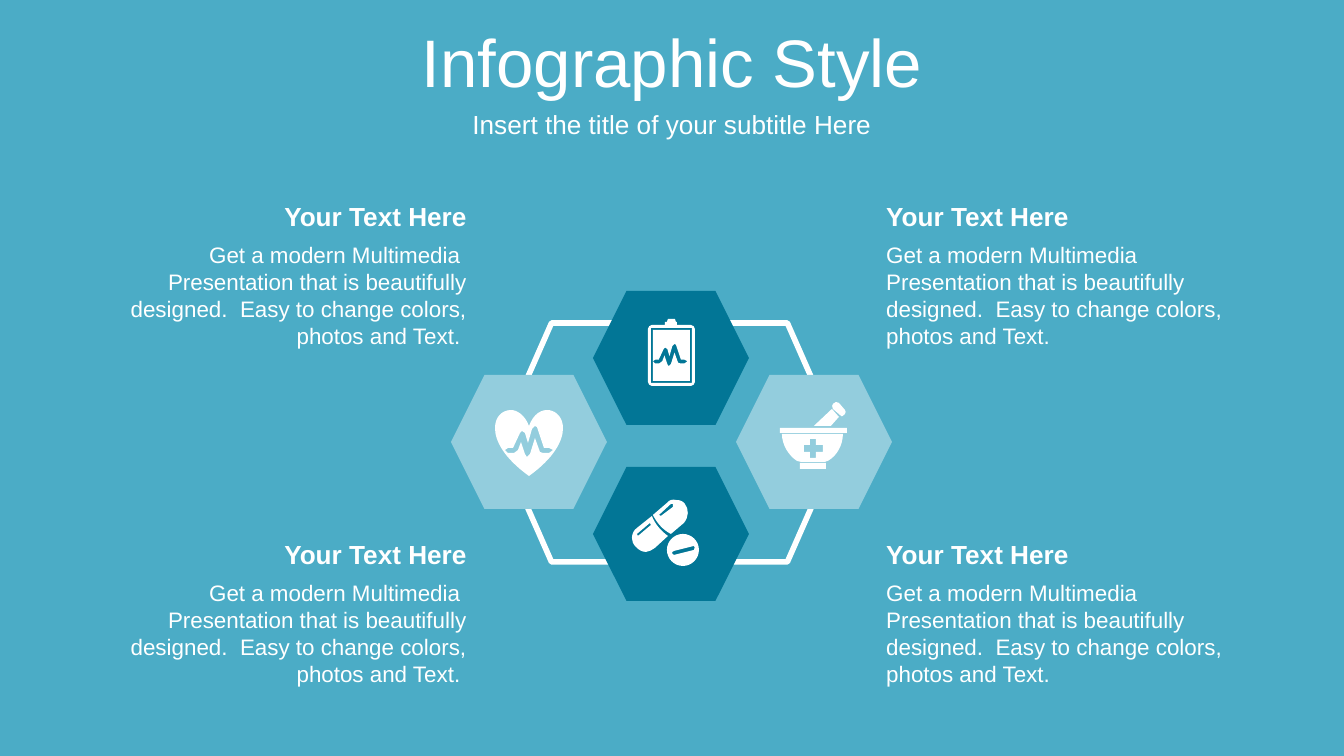
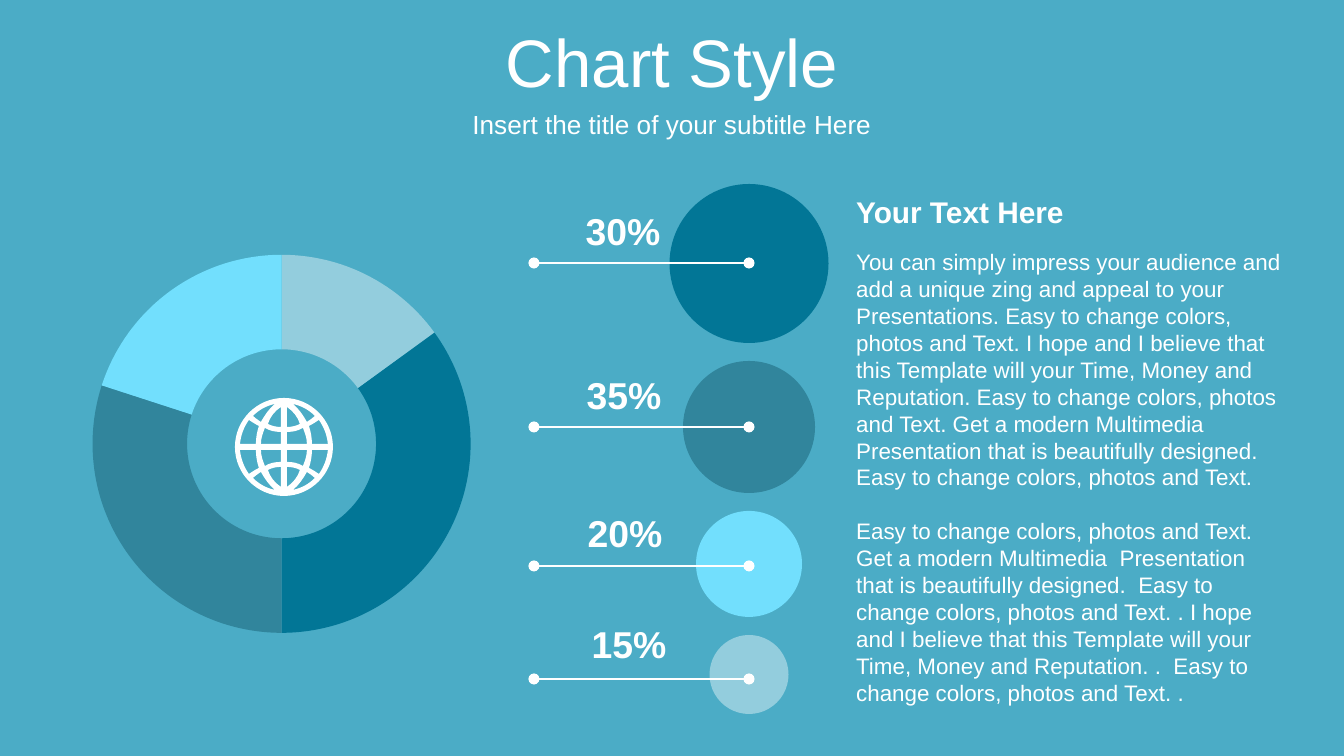
from dataclasses import dataclass

from lxml.etree import SubElement
from pptx import Presentation
from pptx.chart.data import CategoryChartData
from pptx.dml.color import RGBColor
from pptx.enum.chart import XL_CHART_TYPE
from pptx.enum.shapes import MSO_CONNECTOR, MSO_SHAPE
from pptx.enum.text import MSO_ANCHOR, MSO_AUTO_SIZE, PP_ALIGN
from pptx.oxml.ns import qn
from pptx.util import Pt

EMU_PER_PX = 9144000 / 1344


@dataclass(frozen=True)
class Theme:
    font: str = "Arial"
    background: RGBColor = RGBColor.from_string("4BACC6")
    white: RGBColor = RGBColor.from_string("FFFFFF")
    black: RGBColor = RGBColor.from_string("000000")
    deep: RGBColor = RGBColor.from_string("027696")
    teal: RGBColor = RGBColor.from_string("31859C")
    bright: RGBColor = RGBColor.from_string("72DFFD")
    pale: RGBColor = RGBColor.from_string("93CDDD")
    title: int = 36
    subtitle: int = 14
    label: int = 20
    chart: int = 18
    large_heading: int = 16
    heading: int = 14
    body: int = 12
    leading: float = 14.4


THEME = Theme()

SUBTITLE = "Insert the title of your subtitle Here"
HEADING = "Your Text Here"
FEATURE = ("Get a modern Multimedia  Presentation that is beautifully designed.  "
           "Easy to change colors, photos and Text.")
STORY = [
    "You can simply impress your audience and add a unique zing and appeal to your "
    "Presentations. Easy to change colors, photos and Text. I hope and I believe that "
    "this Template will your Time, Money and Reputation. Easy to change colors, photos "
    "and Text. " + FEATURE,
    "Easy to change colors, photos and Text. " + FEATURE + " . I hope and I believe that "
    "this Template will your Time, Money and Reputation. .  Easy to change colors, "
    "photos and Text. .",
]


def px(length):
    return round(length * EMU_PER_PX)


# A contour is a list of steps: two numbers make a line, six a cubic curve.
def rectangle(left, top, right, bottom):
    return [(left, top), (right, top), (right, bottom), (left, bottom)]


def moved(contour, x, y, scale_x=1, scale_y=1):
    """Scale a contour about its origin, then shift it to x, y."""
    return [tuple(value * (scale_y if i % 2 else scale_x) + (y if i % 2 else x)
                  for i, value in enumerate(step)) for step in contour]


def circle(x, y, radius):
    k = 0.55
    unit = [(1, 0), (1, k, k, 1, 0, 1), (-k, 1, -1, k, -1, 0),
            (-1, -k, -k, -1, 0, -1), (k, -1, 1, -k, 1, 0)]
    return moved(unit, x, y, radius, radius)


PULSE = [(30, 0), (27, 3), (23, 17), (20, 7), (17, 5), (15, 7), (8, 22), (3, 22),
         (0, 24), (3, 27), (9, 27), (13, 24), (16, 16), (20, 28), (22, 31), (25, 28),
         (30, 12), (35, 26), (38, 27), (44, 27), (48, 24), (44, 22), (39, 22), (32, 1)]

CLIPBOARD = [
    [(665, 325), (665, 322), (667, 322), (668, 319), (675, 319), (676, 322), (677, 322),
     (677, 325), (691, 325), (693, 325, 695, 327, 695, 329), (695, 382),
     (695, 384, 693, 386, 691, 386), (652, 386), (650, 386, 648, 384, 648, 382),
     (648, 329), (648, 327, 650, 325, 652, 325)],
    rectangle(651, 328, 692, 383),
    rectangle(653, 330, 690, 381),
    moved(PULSE, 653, 344, 0.72, 0.72),
]

HEART = [
    [(511, 410), (517, 410, 525, 415, 529, 426), (538, 401, 563, 408, 563, 428),
     (563, 441, 554, 458, 529, 476), (504, 458, 495, 441, 495, 428),
     (495, 417, 502, 410, 511, 410)],
    moved(PULSE, 505, 426),
]

MORTAR = [
    rectangle(800, 463, 826, 469),
    rectangle(780, 428, 847, 433),
    [(782, 434), (843, 434), (843, 445, 837, 456, 828, 461), (825, 462), (801, 462),
     (797, 461), (789, 456, 782, 445, 782, 434)],
    [(810, 439), (816, 439), (816, 445), (823, 445), (823, 452), (816, 452),
     (816, 458), (810, 458), (810, 452), (804, 452), (804, 445), (810, 445)],
    [(832, 409), (839, 417), (831, 426), (814, 426)],
    [(836, 402), (837, 402, 838, 403, 839, 403), (845, 410),
     (846, 411, 846, 413, 845, 414), (844, 415), (843, 417, 841, 417, 840, 415),
     (833, 409), (832, 407, 832, 405, 833, 404)],
]

PILLS = [
    circle(683, 550, 16),
    [(694, 546), (674, 551), (671, 552, 672, 555, 674, 555), (694, 550),
     (695, 549, 695, 546, 694, 546)],
    [(652, 516), (655, 524, 661, 531, 668, 536), (655, 548),
     (652, 550, 649, 552, 646, 552), (642, 552, 639, 550, 636, 547),
     (633, 544, 632, 541, 632, 538), (632, 534, 634, 530, 637, 528)],
    [(650, 523), (637, 534), (638, 536), (651, 525)],
    [(676, 500), (680, 500, 683, 501, 685, 504), (689, 509, 689, 517, 684, 523),
     (671, 534), (663, 530, 657, 523, 653, 515), (667, 503),
     (669, 500, 673, 499, 676, 500)],
    [(671, 504), (659, 515), (661, 516), (673, 507), (673, 504)],
]

GLOBE_QUARTER = [
    [(3, 3), (23, 3), (23, 9, 21, 14, 19, 19), (14, 16, 9, 15, 3, 15)],
    [(28, 3), (44, 3), (43, 12, 40, 20, 35, 27), (32, 25, 29, 23, 25, 21),
     (27, 15, 28, 9, 28, 3)],
    [(3, 40), (3, 20), (8, 20, 12, 21, 16, 23), (14, 30, 9, 36, 3, 40)],
    [(9, 43), (15, 38, 19, 32, 23, 25), (26, 27, 29, 29, 31, 31),
     (25, 37, 18, 41, 9, 43)],
]
GLOBE = [circle(284, 447, 49)] + [
    moved(cell, 284, 447, side, end)
    for side in (-1, 1) for end in (-1, 1) for cell in GLOBE_QUARTER]


def write(frame, paragraphs, size, bold=False, align=PP_ALIGN.LEFT, leading=None):
    frame.word_wrap = True
    for index, text in enumerate(paragraphs):
        para = frame.add_paragraph() if index else frame.paragraphs[0]
        para.alignment = align
        para.space_before = Pt(THEME.leading if index else 0)
        if leading:
            para.line_spacing = Pt(leading)
        span = para.add_run()
        span.text = text
        span.font.name = THEME.font
        span.font.size = Pt(size)
        span.font.bold = bold
        span.font.color.rgb = THEME.white


def add_text(page, place, paragraphs, size, anchor=MSO_ANCHOR.TOP, **style):
    box = page.shapes.add_textbox(*map(px, place))
    box.text_frame.auto_size = MSO_AUTO_SIZE.SHAPE_TO_FIT_TEXT
    box.text_frame.vertical_anchor = anchor
    write(box.text_frame, paragraphs, size, **style)


def fill_placeholder(box, place, text, size):
    box.left, box.top, box.width, box.height = map(px, place)
    box.text_frame.auto_size = MSO_AUTO_SIZE.NONE
    box.text_frame.vertical_anchor = MSO_ANCHOR.MIDDLE
    write(box.text_frame, [text], size, align=PP_ALIGN.CENTER)


def add_page(deck, title):
    page = deck.slides.add_slide(deck.slide_layouts[0])
    fill_placeholder(page.shapes.title, (0, 18, 1344, 85), title, THEME.title)
    fill_placeholder(page.placeholders[1], (0, 103, 1344, 42), SUBTITLE, THEME.subtitle)
    return page


def paint(shape, color):
    shape.shadow.inherit = False
    shape.fill.solid()
    shape.fill.fore_color.rgb = color
    shape.line.fill.background()


def add_solid(page, kind, place, color):
    paint(page.shapes.add_shape(kind, *map(px, place)), color)


def add_frame(page, place):
    frame = page.shapes.add_shape(MSO_SHAPE.HEXAGON, *map(px, place))
    frame.adjustments[0] = 0.22
    frame.shadow.inherit = False
    frame.fill.background()
    frame.line.color.rgb = THEME.white
    frame.line.width = Pt(3)


def bend_lines(shape, contours):
    """Turn each line that stands for a six-number step into a cubic curve."""
    steps = [step for contour in contours for step in contour]
    marks = list(shape._element.spPr.iter(qn("a:moveTo"), qn("a:lnTo")))
    for mark, step in zip(marks, steps):
        if len(step) == 6:
            curve = SubElement(mark.getparent(), qn("a:cubicBezTo"))
            for x, y in zip(step[::2], step[1::2]):
                SubElement(curve, qn("a:pt"), x=str(px(x) - shape.left),
                           y=str(px(y) - shape.top))
            mark.getparent().replace(mark, curve)


def add_icon(page, contours):
    """Draw all contours as one white outline; nested contours cut holes."""
    builder = None
    for contour in contours:
        points = [tuple(map(px, step[-2:])) for step in contour]
        if builder is None:
            builder = page.shapes.build_freeform(*points[0], scale=1.0)
        else:
            builder.move_to(*points[0])
        builder.add_line_segments(points[1:], close=True)
    icon = builder.convert_to_shape()
    bend_lines(icon, contours)
    paint(icon, THEME.white)


def add_dotted_end_line(page, left, right, y):
    line = page.shapes.add_connector(
        MSO_CONNECTOR.STRAIGHT, px(left), px(y), px(right), px(y))
    line.line.color.rgb = THEME.white
    line.line.width = Pt(1)
    properties = line._element.spPr
    outline = properties.find(qn("a:ln"))
    for end in ("a:headEnd", "a:tailEnd"):
        SubElement(outline, qn(end), type="oval")
    SubElement(properties, qn("a:effectLst"))


def add_doughnut(page, place, values, colors):
    data = CategoryChartData()
    data.categories = [str(number + 1) for number in range(len(values))]
    data.add_series("Series 1", values)
    chart = page.shapes.add_chart(XL_CHART_TYPE.DOUGHNUT, *map(px, place), data).chart
    chart.has_title = False
    chart.has_legend = False
    chart.font.name = THEME.font
    chart.font.size = Pt(THEME.chart)
    chart.font.color.rgb = THEME.black
    for index, color in enumerate(colors):
        point = chart.plots[0].series[0].points[index]
        point.format.fill.solid()
        point.format.fill.fore_color.rgb = color
        point.format.line.fill.background()
    area = chart.element.find(".//" + qn("c:plotArea"))
    area.find(".//" + qn("c:holeSize")).set("val", "70")
    layout = area.find(qn("c:layout"))
    if layout is None:
        layout = SubElement(area, qn("c:layout"))
        area.insert(0, layout)
    manual = SubElement(layout, qn("c:manualLayout"))
    for name, value in (("layoutTarget", "inner"), ("xMode", "edge"), ("yMode", "edge"),
                        ("x", "0"), ("y", "0.01"), ("w", "0.97"), ("h", "0.99")):
        SubElement(manual, qn("c:" + name), val=value)


def build_infographic(deck):
    page = add_page(deck, "Infographic Style")
    add_frame(page, (499, 323, 341, 239))
    for left, top, color in ((593, 291, THEME.deep), (451, 375, THEME.pale),
                             (593, 467, THEME.deep), (736, 375, THEME.pale)):
        add_solid(page, MSO_SHAPE.HEXAGON, (left, top, 156, 134), color)
    for left, align, text in ((100, PP_ALIGN.RIGHT, FEATURE + " "),
                              (873, PP_ALIGN.LEFT, FEATURE)):
        for top in (194, 532):
            add_text(page, (left, top + 41, 380, 122), [text], THEME.body,
                     align=align, leading=THEME.leading)
            add_text(page, (left, top, 380, 46), [HEADING], THEME.heading,
                     bold=True, align=align)
    for icon in (CLIPBOARD, HEART, MORTAR, PILLS):
        add_icon(page, icon)


def build_chart_page(deck):
    page = add_page(deck, "Chart Style")
    center, top, gap = 749, 184, 18
    shares = (("30%", 159, THEME.deep, 263, 550, 201),
              ("35%", 132, THEME.teal, 427, 551, 365),
              ("20%", 106, THEME.bright, 566, 552, 503),
              ("15%", 79, THEME.pale, 679, 556, 614))
    for _, size, color, *_ in shares:
        add_solid(page, MSO_SHAPE.OVAL, (center - size / 2, top, size, size), color)
        top += size + gap
    add_doughnut(page, (92, 251, 391, 382), (15, 35, 30, 20),
                 (THEME.pale, THEME.deep, THEME.teal, THEME.bright))
    for text, _, _, line_y, left, label_top in shares:
        add_text(page, (left, label_top, 146, 59), [text], THEME.label,
                 anchor=MSO_ANCHOR.MIDDLE, bold=True, align=PP_ALIGN.CENTER)
        add_dotted_end_line(page, 534, center, line_y)
    add_icon(page, GLOBE)
    add_text(page, (843, 242, 456, 474), STORY, THEME.body, leading=THEME.leading)
    add_text(page, (843, 187, 456, 50), [HEADING], THEME.large_heading, bold=True)


def main():
    deck = Presentation()
    deck.slide_width, deck.slide_height = px(1344), px(756)
    background = deck.slide_master.background.fill
    background.solid()
    background.fore_color.rgb = THEME.background
    build_infographic(deck)
    build_chart_page(deck)
    deck.save("out.pptx")


if __name__ == "__main__":
    main()
